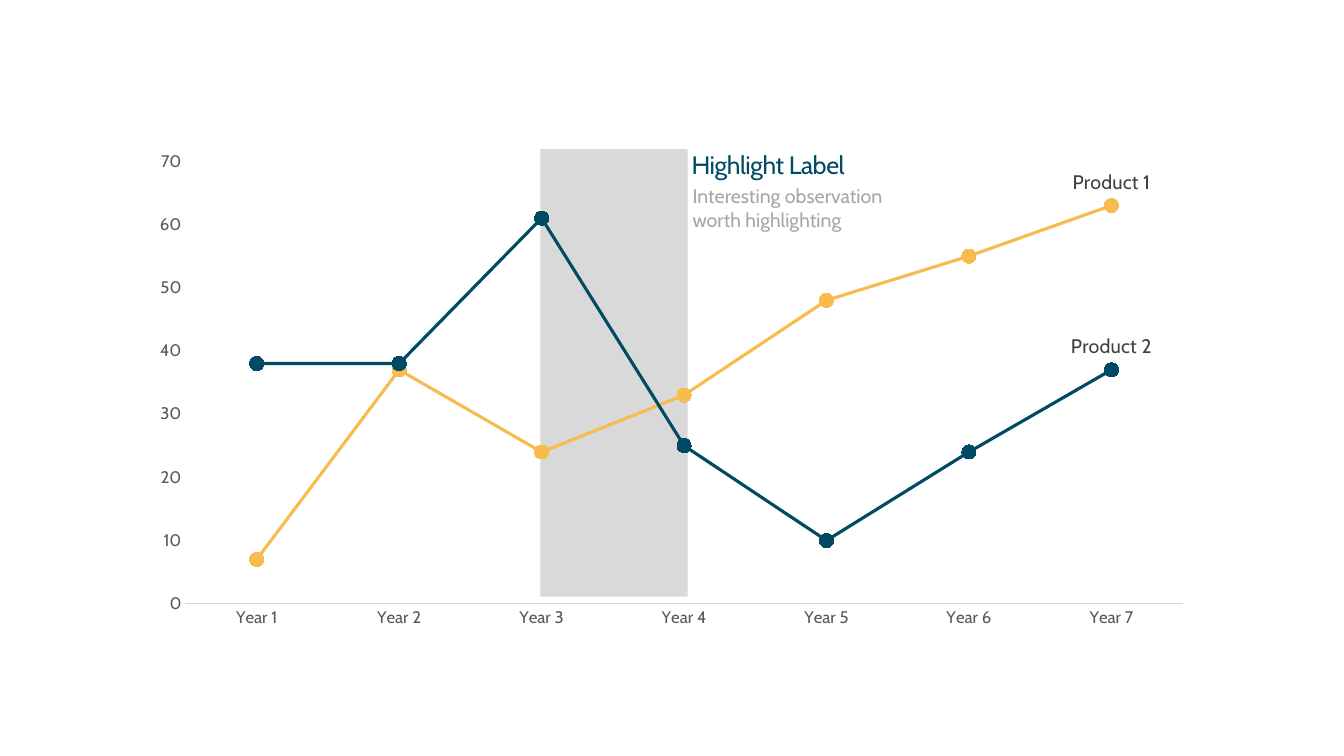
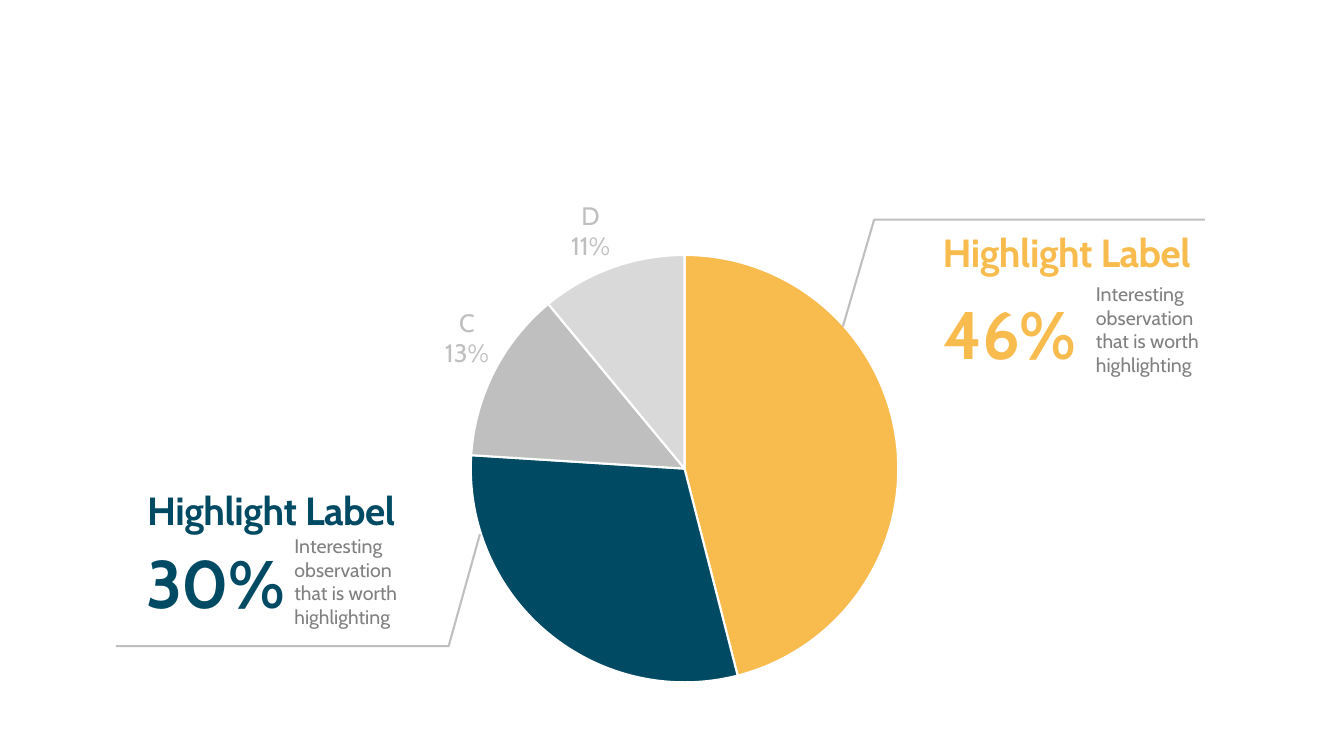
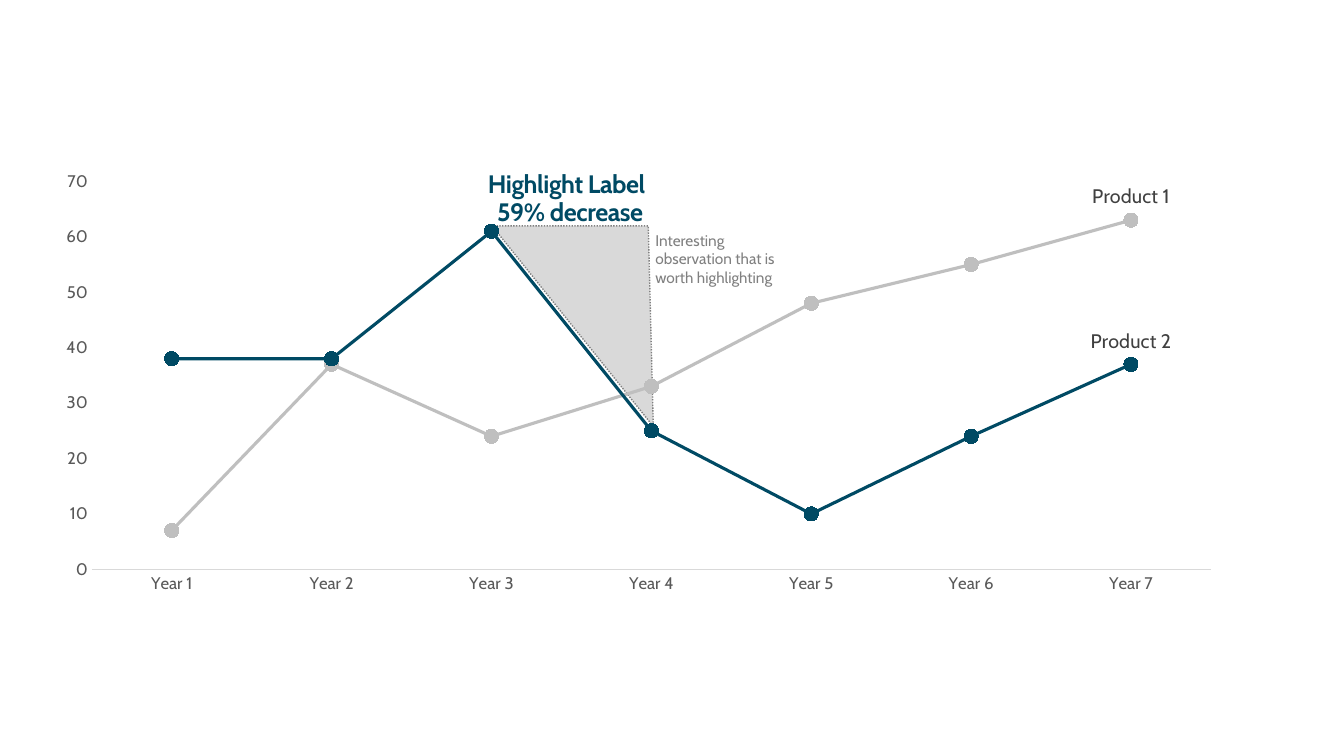
"""Build three slides of annotated line and pie charts."""
from pptx import Presentation
from pptx.chart.data import CategoryChartData
from pptx.dml.color import RGBColor
from pptx.enum.chart import XL_CHART_TYPE, XL_LABEL_POSITION, XL_MARKER_STYLE, XL_TICK_MARK
from pptx.enum.dml import MSO_LINE
from pptx.enum.shapes import MSO_SHAPE
from pptx.enum.text import MSO_ANCHOR
from pptx.oxml import parse_xml
from pptx.oxml.ns import nsdecls
from pptx.util import Inches, Pt

LINE_CHART, PIE_CHART = XL_CHART_TYPE.LINE_MARKERS, XL_CHART_TYPE.PIE
ABOVE, OUTSIDE_END = XL_LABEL_POSITION.ABOVE, XL_LABEL_POSITION.OUTSIDE_END
CIRCLE, NO_TICK = XL_MARKER_STYLE.CIRCLE, XL_TICK_MARK.NONE
TOP, MIDDLE, BOTTOM = MSO_ANCHOR.TOP, MSO_ANCHOR.MIDDLE, MSO_ANCHOR.BOTTOM
RECTANGLE, DOTTED = MSO_SHAPE.RECTANGLE, MSO_LINE.ROUND_DOT

FONT = "Cabin"
COLORS = {
    "gold": "F8BB4E", "navy": "004A64", "white": "FFFFFF",
    "pale": "D9D9D9", "silver": "BFBFBF", "mist": "A6A6A6",
    "gray": "808080", "axis": "595959", "label": "404040", "black": "000000",
}

YEARS = [f"Year {number}" for number in range(1, 8)]
PRODUCTS = {
    "Product 1": (7, 37, 24, 33, 48, 55, 63),
    "Product 2": (38, 38, 61, 25, 10, 24, 37),
}
SHARES = {"A": (46, "gold"), "B": (30, "navy"), "C": (13, "silver"), "D": (11, "pale")}
HEADING = "Highlight Label"
OBSERVATION = "Interesting observation that is worth highlighting"
CALLOUTS = [
    {"color": "gold", "percent": "46%", "heading_at": (9.35, 2.26), "percent_at": (9.36, 2.89),
     "body_at": (10.87, 2.8), "leader": [(8.36, 3.24), (8.67, 2.18), (11.95, 2.18)]},
    {"color": "navy", "percent": "30%", "heading_at": (1.46, 4.82), "percent_at": (1.45, 5.36),
     "body_at": (2.92, 5.3), "leader": [(4.76, 5.3), (4.45, 6.41), (1.15, 6.41)]},
]


def rgb(name):
    return RGBColor.from_string(COLORS[name])


def inches(values):
    return [Inches(value) for value in values]


def style_font(font, size, color, bold=False):
    font.name, font.size, font.bold = FONT, Pt(size), bold
    font.color.rgb = rgb(color)


def style_line(line, color, width):
    line.color.rgb = rgb(color)
    line.width = Pt(width)


def add_text(shapes, text, box, size=14, color="gray", bold=False, anchor=TOP,
             margins=(0, 0), spacing=0):
    text_box = shapes.add_textbox(*inches(box))
    frame = text_box.text_frame
    frame.word_wrap, frame.vertical_anchor = True, anchor
    frame.margin_left = frame.margin_right = Inches(margins[0])
    frame.margin_top = frame.margin_bottom = Inches(margins[1])
    run = frame.paragraphs[0].add_run()
    run.text = text
    style_font(run.font, size, color, bold)
    if spacing:
        run._r.get_or_add_rPr().set("spc", str(round(spacing * 100)))


def add_outline(shapes, points, color, width, fill=None):
    start, *others = [tuple(inches(point)) for point in points]
    builder = shapes.build_freeform(*start)
    builder.add_line_segments(others, close=fill is not None)
    shape = builder.convert_to_shape()
    shape.shadow.inherit = False
    style_line(shape.line, color, width)
    if fill:
        shape.fill.solid()
        shape.fill.fore_color.rgb = rgb(fill)
    else:
        shape.fill.background()
    return shape


def add_plain_chart(slide, kind, categories, series, box, plot_box, size):
    """Add a transparent chart whose plot area fills plot_box."""
    data = CategoryChartData()
    data.categories = categories
    for name, values in series.items():
        data.add_series(name, values)
    chart = slide.shapes.add_chart(kind, *inches(box), data).chart
    chart.has_legend = chart.has_title = False
    style_font(chart.font, size, "black")
    left, top, width, height = box
    fractions = {
        "x": (plot_box[0] - left) / width, "y": (plot_box[1] - top) / height,
        "w": plot_box[2] / width, "h": plot_box[3] / height,
    }
    modes = "".join(f'<c:{key}Mode val="edge"/>' for key in "xy")
    places = "".join(f'<c:{key} val="{value:.4f}"/>' for key, value in fractions.items())
    space = chart._chartSpace
    plot_area = space.xpath("c:chart/c:plotArea")[0]
    for layout in plot_area.xpath("c:layout"):
        plot_area.remove(layout)
    plot_area.insert(0, parse_xml(
        f'<c:layout {nsdecls("c")}><c:manualLayout><c:layoutTarget val="inner"/>'
        f'{modes}{places}</c:manualLayout></c:layout>'))
    clear = f'<c:spPr {nsdecls("c", "a")}><a:noFill/><a:ln><a:noFill/></a:ln></c:spPr>'
    plot_area.append(parse_xml(clear))
    space.xpath("c:chart")[0].addnext(parse_xml(clear))
    return chart


def add_product_chart(slide, box, plot_box, colors):
    chart = add_plain_chart(slide, LINE_CHART, YEARS, PRODUCTS, box, plot_box, 10)
    for axis in (chart.category_axis, chart.value_axis):
        axis.has_major_gridlines = False
        axis.major_tick_mark = axis.minor_tick_mark = NO_TICK
        style_font(axis.tick_labels.font, 12, "axis")
    style_line(chart.category_axis.format.line, "pale", 0.75)
    values = chart.value_axis
    values.format.line.fill.background()
    values.minimum_scale, values.maximum_scale, values.major_unit = 0, 70, 10
    chart.plots[0].vary_by_categories = False
    for series, color in zip(chart.plots[0].series, colors):
        series.smooth = False
        style_line(series.format.line, color, 2.25)
        marker = series.marker
        marker.style, marker.size = CIRCLE, 10
        marker.format.fill.solid()
        marker.format.fill.fore_color.rgb = rgb(color)
        marker.format.line.color.rgb = rgb(color)
        series.data_labels.show_value = False
        label = series.points[len(YEARS) - 1].data_label
        style_font(label.font, 14, "label")
        label.position = ABOVE
        element = series._element.xpath("c:dLbls/c:dLbl")[0]
        for tag, shown in (("showVal", "0"), ("showSerName", "1")):
            element.xpath(f"c:{tag}")[0].set("val", shown)


def build_band_slide(slide):
    band = slide.shapes.add_shape(RECTANGLE, *inches((5.36, 1.48, 1.46, 4.44)))
    band.shadow.inherit = False
    band.fill.solid()
    band.fill.fore_color.rgb = rgb("pale")
    band.line.fill.background()
    add_product_chart(slide, (1.38, 1.4, 10.57, 4.92), (1.84, 1.6, 9.89, 4.39),
                      ("gold", "navy"))
    shapes = slide.shapes.add_group_shape().shapes
    add_text(shapes, HEADING, (6.66, 1.28, 2.65, 0.71), size=18, color="navy",
             anchor=MIDDLE, margins=(0.2, 0.2), spacing=-0.3)
    add_text(shapes, "Interesting observation worth highlighting", (6.77, 1.78, 2.19, 0.57),
             color="mist", margins=(0.1, 0.05))


def build_pie_slide(slide):
    values = {"Series 1": [value for value, _ in SHARES.values()]}
    chart = add_plain_chart(slide, PIE_CHART, list(SHARES), values,
                            (2.76, 1.8, 7.68, 5.12), (4.67, 2.53, 4.24, 4.24), 18)
    series = chart.plots[0].series[0]
    for index, (_, color) in enumerate(SHARES.values()):
        point = series.points[index].format
        point.fill.solid()
        point.fill.fore_color.rgb = rgb(color)
        style_line(point.line, "white", 1.5)
    labels = series.data_labels
    labels.show_value = False
    labels.show_percentage = labels.show_category_name = True
    labels.position = OUTSIDE_END
    style_font(labels.font, 18, "silver")
    element = series._element.xpath("c:dLbls")[0]
    element.xpath("c:showBubbleSize")[0].addnext(
        parse_xml(f'<c:separator {nsdecls("c")}>\n</c:separator>'))
    for index in range(len(CALLOUTS)):
        element.insert(index, parse_xml(
            f'<c:dLbl {nsdecls("c")}><c:idx val="{index}"/><c:delete val="1"/></c:dLbl>'))
    for callout in CALLOUTS:
        shapes = slide.shapes.add_group_shape().shapes
        strong = {"color": callout["color"], "bold": True, "anchor": BOTTOM, "spacing": -0.3}
        add_text(shapes, HEADING, (*callout["heading_at"], 2.56, 0.47), size=28, **strong)
        add_text(shapes, OBSERVATION, (*callout["body_at"], 1.13, 0.94))
        add_outline(shapes, callout["leader"], "silver", 1.5)
        add_text(shapes, callout["percent"], (*callout["percent_at"], 1.75, 0.81),
                 size=48, **strong)


def build_drop_slide(slide):
    wedge = add_outline(slide.shapes, [(4.88, 2.24), (6.48, 4.23), (6.43, 2.24)],
                        "gray", 1, fill="pale")
    wedge.line.dash_style = DOTTED
    add_product_chart(slide, (0.42, 1.62, 11.82, 4.36), (0.91, 1.8, 11.1, 3.85),
                      ("silver", "navy"))
    for text, left, top in ((HEADING, 4.84, 1.67), ("59% decrease", 4.93, 1.95)):
        add_text(slide.shapes, text, (left, top, 2.56, 0.3), size=18, color="navy",
                 bold=True, anchor=BOTTOM, spacing=-0.3)
    add_text(slide.shapes, OBSERVATION, (6.5, 2.29, 1.39, 0.56), size=11)


def main():
    presentation = Presentation()
    presentation.slide_width, presentation.slide_height = Inches(13.33), Inches(7.5)
    blank = presentation.slide_layouts[6]
    for build in (build_band_slide, build_pie_slide, build_drop_slide):
        build(presentation.slides.add_slide(blank))
    presentation.save("out.pptx")


if __name__ == "__main__":
    main()
